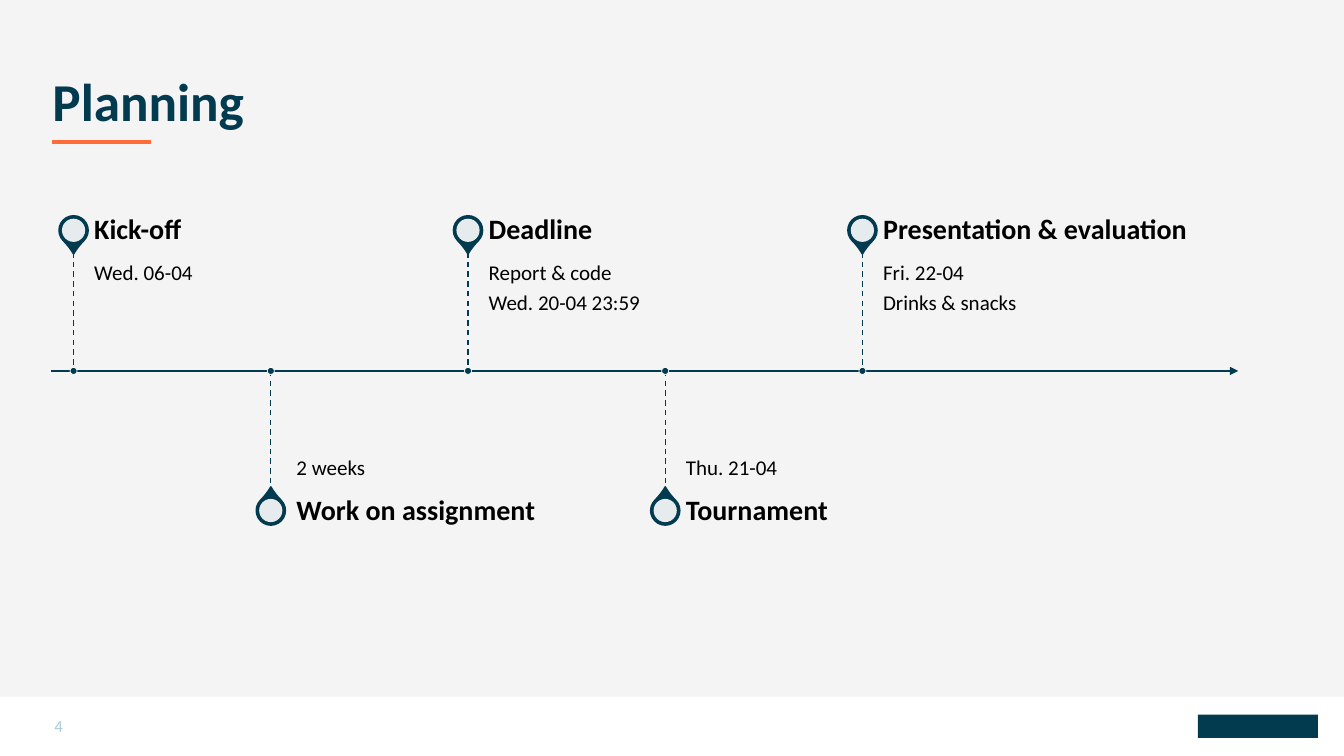
import pptx
import pptx.dml.color
import pptx.enum.dml
import pptx.enum.shapes
import pptx.enum.text
import pptx.oxml.ns
import pptx.util
from lxml import etree

Inches = pptx.util.Inches
Pt = pptx.util.Pt
RGBColor = pptx.dml.color.RGBColor
Shape = pptx.enum.shapes.MSO_SHAPE
Anchor = pptx.enum.text.MSO_ANCHOR
qn = pptx.oxml.ns.qn

NAVY = RGBColor(0x02, 0x3A, 0x4F)
ORANGE = RGBColor(0xFF, 0x6C, 0x37)
PALE = RGBColor(0xA6, 0xCD, 0xDD)
GREY = RGBColor(0xF4, 0xF4, 0xF4)
WHITE = RGBColor(0xFF, 0xFF, 0xFF)
BLACK = RGBColor(0, 0, 0)

deck = pptx.Presentation()
deck.slide_width = Inches(13.33)
deck.slide_height = Inches(7.5)
slide = deck.slides.add_slide(deck.slide_layouts[5])
slide.background.fill.solid()
slide.background.fill.fore_color.rgb = GREY
shapes = slide.shapes


def write(text, left, top, width, height, box=None, size=15, color=BLACK,
          bold=False, anchor=Anchor.MIDDLE, pad=(0, 0, 0, 0), gap=0, lead=0.9):
    """Put text in box, or in a new text box; pad is left, top, right, bottom."""
    box = box or shapes.add_textbox(0, 0, 0, 0)
    box.left, box.top = Inches(left), Inches(top)
    box.width, box.height = Inches(width), Inches(height)
    frame = box.text_frame
    frame.text = text
    frame.word_wrap = True
    frame.auto_size = pptx.enum.text.MSO_AUTO_SIZE.NONE
    frame.vertical_anchor = anchor
    frame.margin_left, frame.margin_top, frame.margin_right, frame.margin_bottom = map(Inches, pad)
    for para in frame.paragraphs:
        para.alignment = pptx.enum.text.PP_ALIGN.LEFT
        para.line_spacing = lead
        para.space_after = Pt(gap)
        font = para.font
        font.name, font.size, font.bold = "Calibri", Pt(size), bold
        font.color.rgb = color


def draw(kind, left, top, width, height, fill, edge=None, weight=1):
    """Add a preset shape, or a line from left, top spanning width, height."""
    if kind == "line":
        item = shapes.add_connector(
            pptx.enum.shapes.MSO_CONNECTOR.STRAIGHT, Inches(left), Inches(top),
            Inches(left + width), Inches(top + height))
        etree.SubElement(item.line._get_or_add_ln().getparent(), qn("a:effectLst"))
        edge = fill
    else:
        item = shapes.add_shape(kind, Inches(left), Inches(top), Inches(width), Inches(height))
        item.shadow.inherit = False
        item.fill.solid()
        item.fill.fore_color.rgb = fill
    if edge is None:
        item.line.fill.background()
    else:
        item.line.color.rgb = edge
        item.line.width = Pt(weight)
    return item


draw(Shape.RECTANGLE, 0, 6.91, 13.33, 0.59, WHITE)
draw(Shape.RECTANGLE, 11.88, 7.09, 1.19, 0.23, NAVY)
write("Planning", 0.52, 0.76, 12.55, 0.54, box=shapes.title, size=38, color=NAVY, bold=True)
draw("line", 0.52, 1.41, 0.98, 0, ORANGE, weight=3)
write("4", 0.54, 7, 0.53, 0.4, size=12, color=PALE, lead=1)

AXIS = 3.68
axis = draw("line", 0.51, AXIS, 11.77, 0, NAVY, weight=1.5)
etree.SubElement(axis.line._get_or_add_ln(), qn("a:tailEnd"), type="triangle")

# Heading, details, extra left indent; the events alternate above and below the axis
EVENTS = [
    ("Kick-off", "Wed. 06-04", 0),
    ("Work on assignment", "2 weeks", 0.05),
    ("Deadline", "Report & code\nWed. 20-04 23:59", 0),
    ("Tournament", "Thu. 21-04", 0),
    ("Presentation & evaluation", "Fri. 22-04\nDrinks & snacks", 0),
]
STEM = 1.18
for i, (head, details, inset) in enumerate(EVENTS):
    x = 0.73 + 1.956 * i
    above = i % 2 == 0
    if above:
        mid, top, head_top = 2.285, AXIS - STEM, 2.08
        anchor, pad = Anchor.TOP, (inset, 0.1, 0.1, 0.16)
    else:
        mid, top, head_top = 5.065, AXIS, AXIS + STEM
        anchor, pad = Anchor.BOTTOM, (inset, 0.16, 0, 0.1)

    pin = draw(Shape.TEAR, x - 0.145, mid - 0.145, 0.29, 0.29, NAVY, edge=NAVY)
    pin.adjustments[0] = 1.15
    pin.rotation = 135 if above else 315
    hole = draw(Shape.OVAL, x - 0.115, mid - 0.115, 0.23, 0.23, WHITE)
    tint = hole.fill._xPr.find(".//" + qn("a:srgbClr"))
    etree.SubElement(tint, qn("a:alpha"), val="90000")

    write(details, x + 0.205, top, 3.26, STEM, anchor=anchor, pad=pad, gap=5.25)
    write(head, x + 0.205, head_top, 3.26, 0.42, size=20, bold=True, pad=(inset, 0, 0.14, 0))
    stem = draw("line", x, top, 0, STEM, NAVY)
    stem.line.dash_style = pptx.enum.dml.MSO_LINE.DASH
    draw(Shape.OVAL, x - 0.035, AXIS - 0.035, 0.07, 0.07, NAVY, edge=WHITE, weight=0.5)

deck.save("out.pptx")
